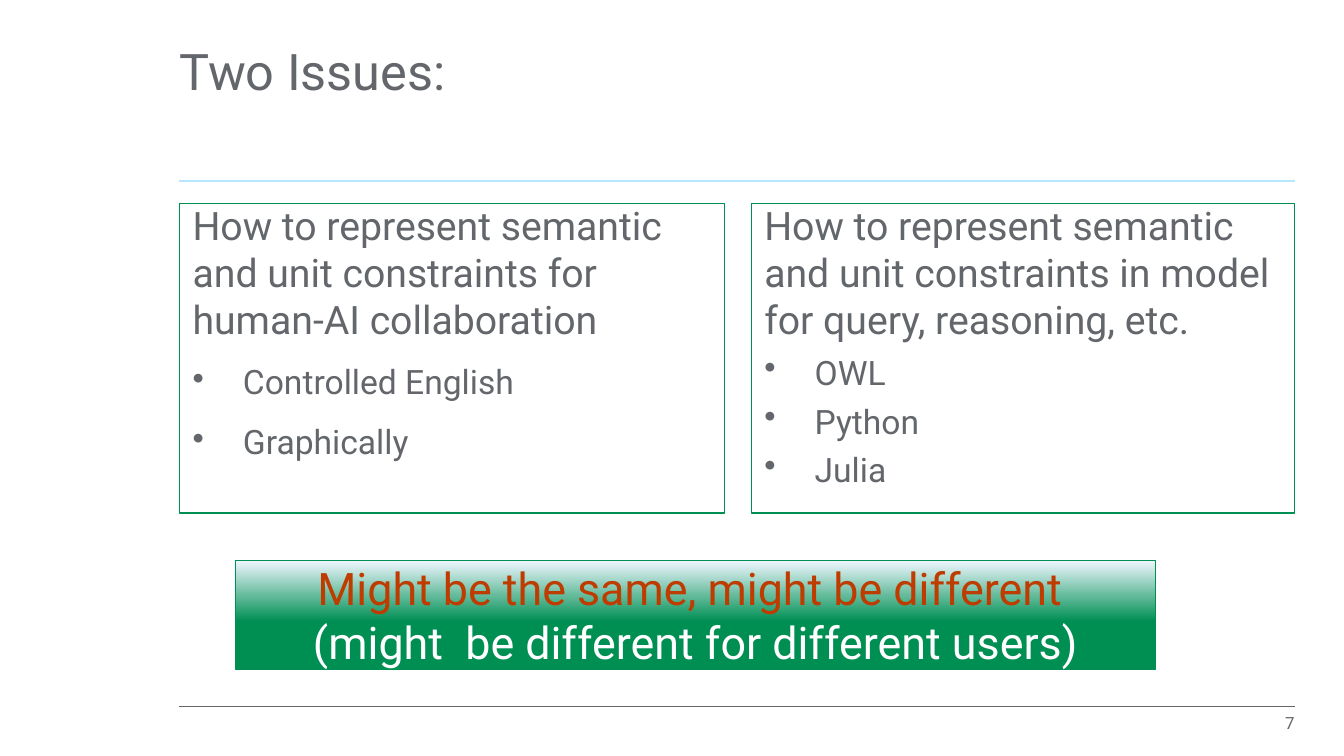
from lxml import etree
from pptx import Presentation
from pptx.dml.color import RGBColor
from pptx.enum.shapes import MSO_CONNECTOR, MSO_SHAPE
from pptx.enum.text import MSO_ANCHOR, PP_ALIGN
from pptx.oxml.ns import qn
from pptx.util import Inches, Pt

RECT, STRAIGHT = MSO_SHAPE.RECTANGLE, MSO_CONNECTOR.STRAIGHT
TOP, MIDDLE = MSO_ANCHOR.TOP, MSO_ANCHOR.MIDDLE
LEFT, CENTER, RIGHT = PP_ALIGN.LEFT, PP_ALIGN.CENTER, PP_ALIGN.RIGHT
GRAY = RGBColor(0x63, 0x66, 0x6A)
GREEN = RGBColor(0x00, 0x8F, 0x53)
SKY = RGBColor(0xB7, 0xE6, 0xFF)
PALE = RGBColor(0xEF, 0xF7, 0xFF)
RUST = RGBColor(0xBE, 0x3C, 0x00)
WHITE = RGBColor(0xFF, 0xFF, 0xFF)
FONT = "Roboto"

# Content
TITLE = "Two Issues:"
PAGE_NUMBER = "7"
ISSUES = [
    # left, width, question, answers, format of the answers
    (1.78, 5.41,
     "How to represent semantic and unit constraints for human-AI collaboration",
     ["Controlled English", "Graphically"],
     {"space_before": Pt(14), "line_spacing": 0.99}),
    (7.45, 5.39,
     "How to represent semantic and unit constraints in model for query, reasoning, etc.",
     ["OWL", "Python", "Julia"],
     {"space_before": Pt(6)}),
]
CONCLUSION = [
    ("Might be the same, might be different ", RUST),
    ("(might  be different for different users)", WHITE),
]
RULES = [(1.8, SKY, 1.5), (7.01, GRAY, 0.25)]  # y, colour, width

# Layout
MARGIN_LEFT, MARGIN_RIGHT = 1.78, 12.84
ISSUE_TOP, ISSUE_HEIGHT = 2.02, 3.07
TEXT_INDENT, BULLET_INDENT, BULLET_HANG = 0.13, 0.63, -0.5

prs = Presentation()
prs.slide_width, prs.slide_height = Inches(13.33), Inches(7.5)
slide = prs.slides.add_slide(prs.slide_layouts[6])


def prepare_frame(shape, anchor):
    frame = shape.text_frame
    settings = {"word_wrap": True, "vertical_anchor": anchor, "margin_left": 0,
                "margin_right": 0, "margin_top": 0, "margin_bottom": 0}
    for name, value in settings.items():
        setattr(frame, name, value)
    return frame


def add_text(left, top, width, height, anchor):
    box = slide.shapes.add_textbox(*map(Inches, (left, top, width, height)))
    return prepare_frame(box, anchor)


def add_box(left, top, width, height):
    box = slide.shapes.add_shape(RECT, *map(Inches, (left, top, width, height)))
    box.shadow.inherit = False
    box.line.color.rgb = GREEN
    box.line.width = Pt(0.75)
    return box


def write(frame, text, size, color=GRAY, **formats):
    """Fill the first paragraph, or append one if it is already used."""
    first = frame.paragraphs[0]
    para = frame.add_paragraph() if first.runs else first
    for name, value in formats.items():
        setattr(para, name, value)
    run = para.add_run()
    run.text = text
    run.font.name, run.font.size = FONT, Pt(size)
    run.font.color.rgb = color
    return para


def indent(para, left, hang=0, bullet=None):
    props = para._p.get_or_add_pPr()
    props.set("marL", str(Inches(left)))
    props.set("indent", str(Inches(hang)))
    if bullet:
        etree.SubElement(props, qn("a:buChar")).set("char", bullet)


# Rules
for y, color, width in RULES:
    rule = slide.shapes.add_connector(
        STRAIGHT, *map(Inches, (MARGIN_LEFT, y, MARGIN_RIGHT, y)))
    rule.line.color.rgb = color
    rule.line.width = Pt(width)
    etree.SubElement(rule._element.spPr, qn("a:effectLst"))

# Title and page number
write(add_text(MARGIN_LEFT, 0.24, 9.84, 1, MIDDLE), TITLE, 36, line_spacing=0.9)
write(add_text(12.48, 7.08, 0.36, 0.2, TOP), PAGE_NUMBER, 12,
      alignment=RIGHT, line_spacing=0.99)

# Issues
for left, width, question, answers, answer_format in ISSUES:
    issue = add_box(left, ISSUE_TOP, width, ISSUE_HEIGHT)
    issue.fill.background()
    frame = prepare_frame(issue, TOP)
    heading = write(frame, question, 28, alignment=LEFT,
                    space_before=Pt(14), line_spacing=0.99)
    indent(heading, TEXT_INDENT)
    for answer in answers:
        item = write(frame, answer, 24, alignment=LEFT, **answer_format)
        indent(item, BULLET_INDENT, BULLET_HANG, "•")

# Conclusion
conclusion = add_box(2.34, 5.56, 9.12, 1.08)
conclusion.fill.gradient()
conclusion.fill.gradient_angle = 270
for stop, (position, color) in zip(conclusion.fill.gradient_stops,
                                   [(0, PALE), (0.56, GREEN)]):
    stop.position = position
    stop.color.rgb = color
frame = prepare_frame(conclusion, TOP)
for text, color in CONCLUSION:
    write(frame, text, 32, color, alignment=CENTER)

prs.save("out.pptx")
